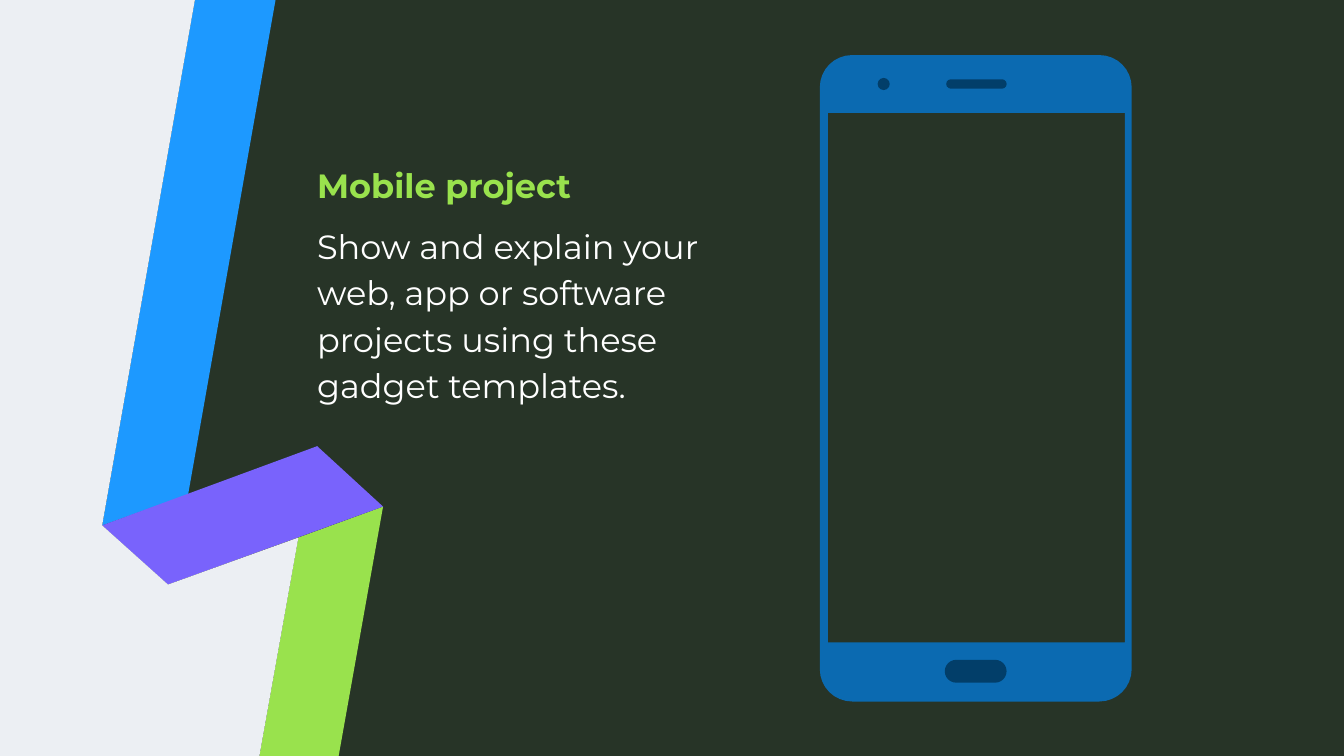
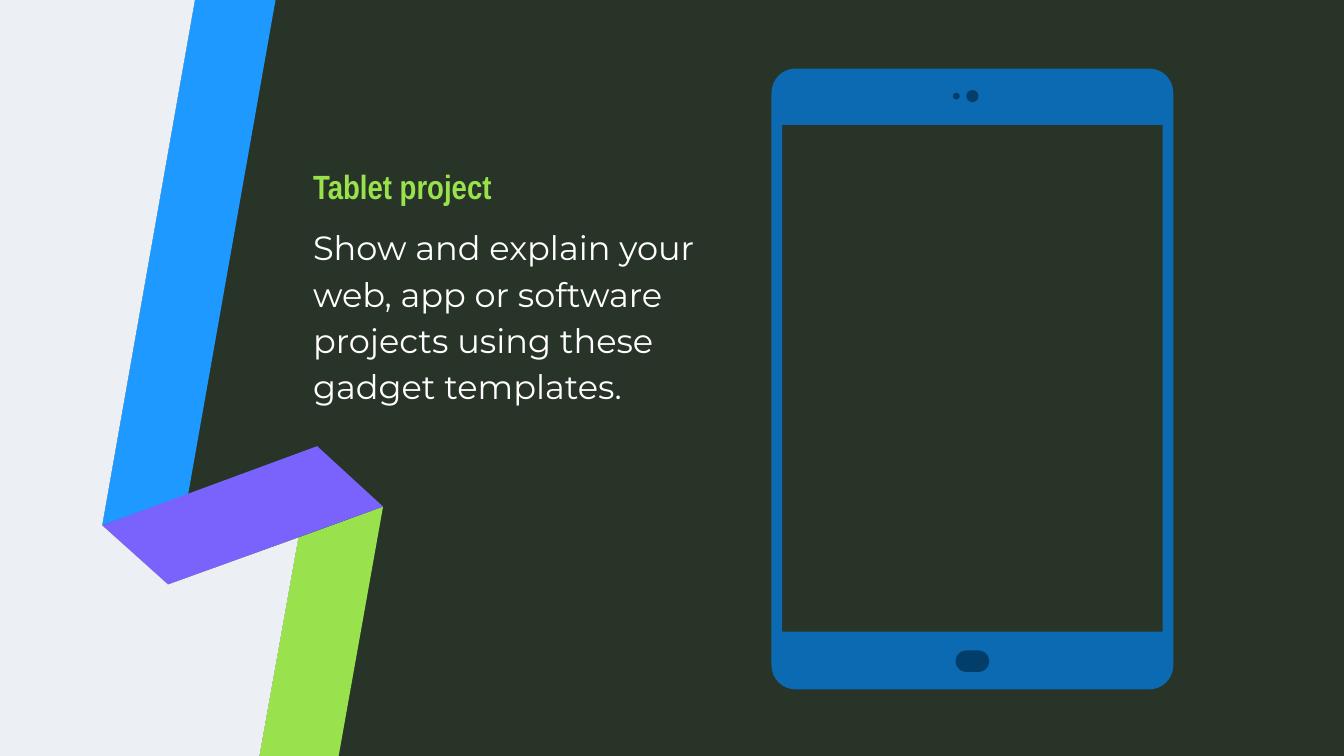
import math
from dataclasses import dataclass

import pptx
import pptx.dml.color
import pptx.enum.shapes
import pptx.enum.text
import pptx.util

Inches = pptx.util.Inches
SHAPES = pptx.enum.shapes.MSO_SHAPE


@dataclass(frozen=True)
class Theme:
    background: str = "273427"
    panel: str = "ECEFF3"
    blue: str = "1D99FF"
    purple: str = "7963FC"
    green: str = "99E24D"
    white: str = "FFFFFF"
    device: str = "0B6AB1"
    detail: str = "023E69"
    font: str = "Montserrat"
    narrow_font: str = "Arial Narrow"
    size: int = 18
    line_spacing: float = 1.15
    paragraph_gap: int = 8


THEME = Theme()
WIDTH = Inches(10)
HEIGHT = WIDTH * 9 // 16
BOTTOM = HEIGHT / Inches(1)

# Corners where the folded ribbon and the side panel meet
TOP_LEFT, TOP_RIGHT = (1.45, 0), (2.05, 0)
FOLD_LEFT, FOLD_LOW = (0.76, 3.91), (1.25, 4.35)
FOLD_TOP, FOLD_RIGHT = (2.36, 3.32), (2.85, 3.77)
BLUE_END, GREEN_START = (1.4, 3.68), (2.22, 4)
FOOT_LEFT, FOOT_RIGHT = (1.93, BOTTOM), (2.52, BOTTOM)

RIBBON = [
    (THEME.blue, [TOP_LEFT, FOLD_LEFT, BLUE_END, TOP_RIGHT]),
    (THEME.green, [FOOT_RIGHT, FOLD_RIGHT, GREEN_START, FOOT_LEFT]),
    (THEME.purple, [FOLD_RIGHT, FOLD_LOW, FOLD_LEFT, FOLD_TOP]),
    (THEME.panel, [FOLD_LOW, FOLD_LEFT, TOP_LEFT, (0, 0), (0, BOTTOM),
                   FOOT_LEFT, GREEN_START]),
]


def color(value):
    return pptx.dml.color.RGBColor.from_string(value)


def paint(shape, fill):
    """Give a shape a flat fill, with no line or shadow."""
    shape.shadow.inherit = False
    shape.fill.solid()
    shape.fill.fore_color.rgb = color(fill)
    shape.line.fill.background()


def add_outline(shapes, contours, fill):
    """Draw one freeform from closed contours given in inches."""
    contours = [[(Inches(x), Inches(y)) for x, y in points] for points in contours]
    builder = shapes.build_freeform(*contours[0][0])
    for index, points in enumerate(contours):
        if index:
            builder.move_to(*points[0])
        builder.add_line_segments(points[1:], close=True)
    paint(builder.convert_to_shape(), fill)


def add_detail(shapes, kind, left, top, width, height):
    shape = shapes.add_shape(kind, *map(Inches, (left, top, width, height)))
    if kind == SHAPES.ROUNDED_RECTANGLE:
        shape.adjustments[0] = 0.5
    paint(shape, THEME.detail)


def rounded_corners(left, top, width, height, radius, steps=8):
    """Points clockwise around a rectangle with round corners."""
    right, bottom = left + width - radius, top + height - radius
    left, top = left + radius, top + radius
    centers = [(left, top), (right, top), (right, bottom), (left, bottom)]
    points = []
    for corner, (x, y) in enumerate(centers):
        for step in range(steps + 1):
            angle = math.pi + (corner + step / steps) * math.pi / 2
            points.append((x + radius * math.cos(angle), y + radius * math.sin(angle)))
    return points


def add_device(page, body, radius, screen, details):
    """Draw a gadget: a frame around an open screen, and its details."""
    group = page.shapes.add_group_shape()
    left, top, width, height = screen
    right, bottom = left + width, top + height
    opening = [(right, top), (left, top), (left, bottom), (right, bottom)]
    add_outline(group.shapes, [opening, rounded_corners(*body, radius)], THEME.device)
    for kind, *place in details:
        add_detail(group.shapes, kind, *place)


def add_text(frame, text, *, first=False, font=THEME.font, size=THEME.size,
             fill=THEME.white, bold=False, gap=0):
    para = frame.paragraphs[0] if first else frame.add_paragraph()
    para.line_spacing = THEME.line_spacing
    para.space_before = para.space_after = pptx.util.Pt(gap)
    span = para.add_run()
    span.text = text
    span.font.name = font
    span.font.size = pptx.util.Pt(size)
    span.font.bold = bold
    span.font.color.rgb = color(fill)


def add_description(page, left, top, heading, heading_font):
    box = page.shapes.add_textbox(*map(Inches, (left, top, 3, 2.25)))
    frame = box.text_frame
    frame.word_wrap = True
    frame.vertical_anchor = pptx.enum.text.MSO_ANCHOR.TOP
    frame.margin_left = frame.margin_right = 0
    frame.margin_top = frame.margin_bottom = 0
    add_text(frame, heading, first=True, font=heading_font, fill=THEME.green, bold=True)
    add_text(frame, "Show and explain your web, app or software projects "
                    "using these gadget templates.", gap=THEME.paragraph_gap)


def add_page(deck):
    """Add a blank page with the folded ribbon."""
    page = deck.slides.add_slide(deck.slide_layouts[6])
    for fill, points in RIBBON:
        add_outline(page.shapes, [points], fill)
    return page


def build_mobile(deck):
    page = add_page(deck)
    add_description(page, 2.36, 1.18, "Mobile project", THEME.font)
    add_device(page, (6.1, 0.41, 2.32, 4.81), 0.24, (6.16, 0.84, 2.21, 3.94), [
        (SHAPES.ROUNDED_RECTANGLE, 7.03, 4.91, 0.46, 0.17),  # home button
        (SHAPES.OVAL, 6.53, 0.58, 0.09, 0.09),  # camera
        (SHAPES.ROUNDED_RECTANGLE, 7.04, 0.59, 0.45, 0.07),  # speaker
    ])


def build_tablet(deck):
    page = add_page(deck)
    add_device(page, (5.74, 0.51, 2.99, 4.62), 0.18, (5.82, 0.93, 2.83, 3.77), [
        (SHAPES.ROUNDED_RECTANGLE, 7.11, 4.84, 0.25, 0.16),  # home button
        (SHAPES.OVAL, 7.09, 0.69, 0.05, 0.05),  # sensor
        (SHAPES.OVAL, 7.19, 0.67, 0.09, 0.09),  # camera
    ])
    add_description(page, 2.33, 1.19, "Tablet project", THEME.narrow_font)


def main():
    deck = pptx.Presentation()
    deck.slide_width, deck.slide_height = WIDTH, HEIGHT
    # The master carries the background for every page
    backdrop = deck.slide_master.background.fill
    backdrop.solid()
    backdrop.fore_color.rgb = color(THEME.background)
    build_mobile(deck)
    build_tablet(deck)
    deck.save("out.pptx")


main()
